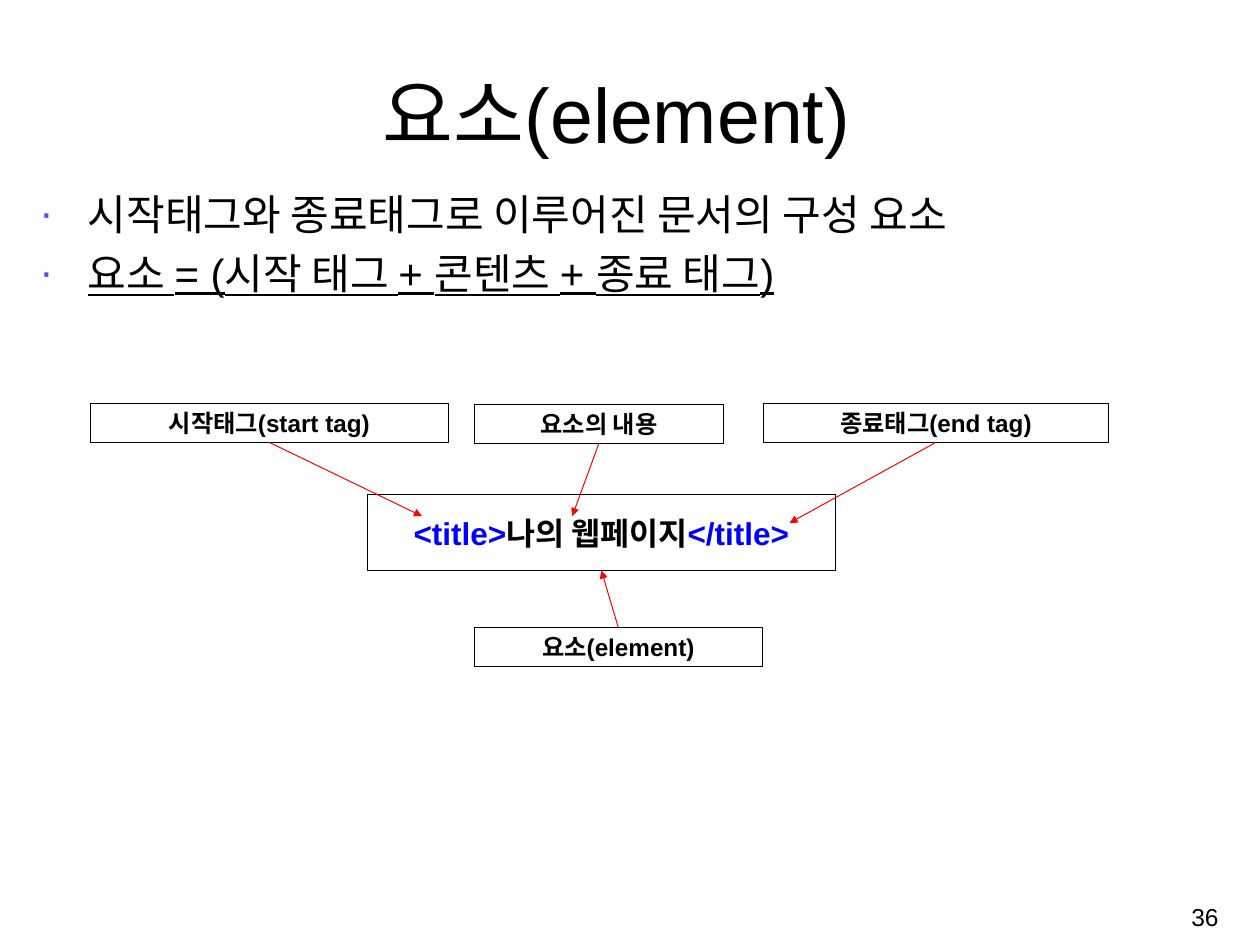
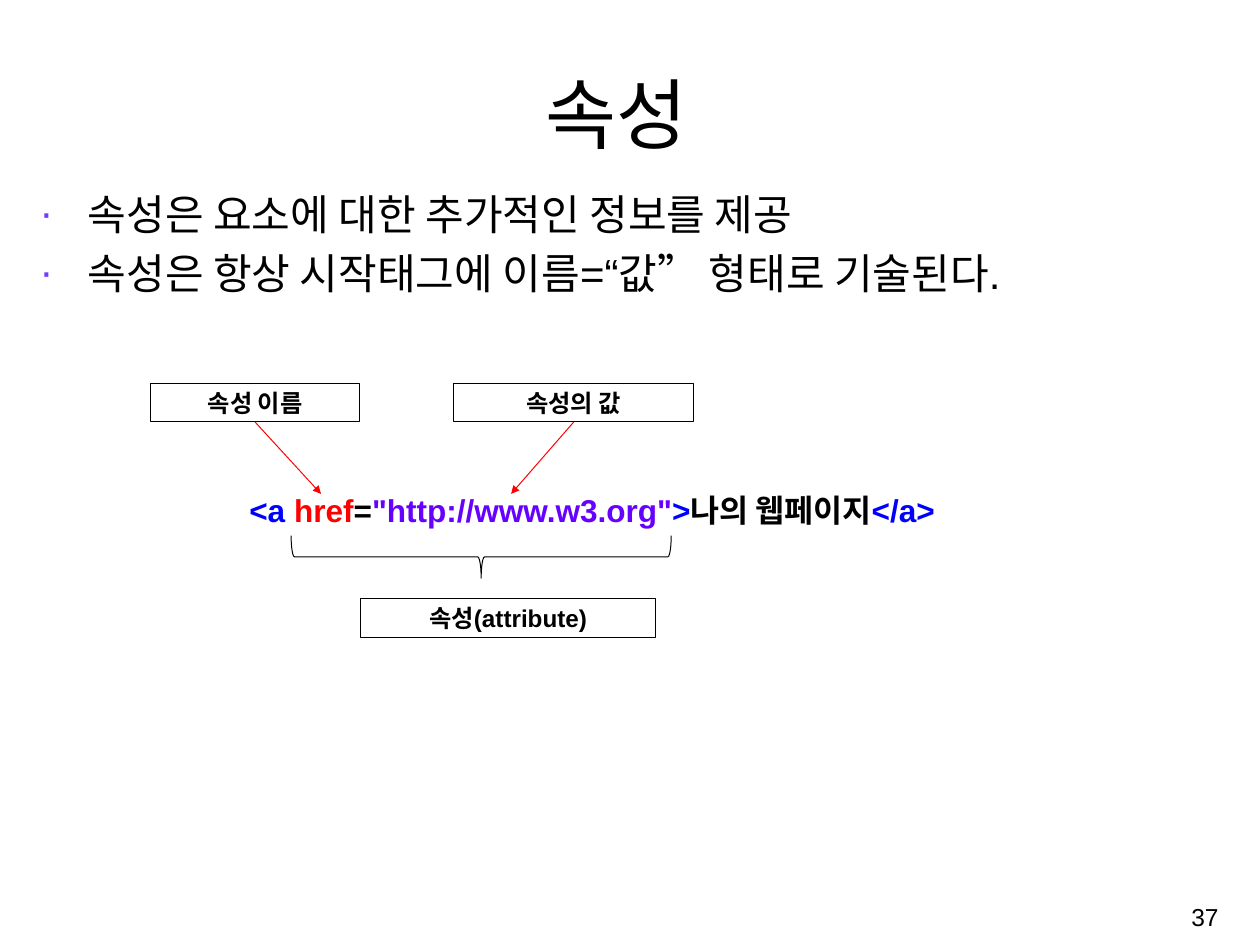
"""Build two slides on the parts and attributes of a markup element."""
import pptx
import pptx.util
import pptx.dml.color
import pptx.enum.text
import pptx.enum.shapes
import pptx.oxml.ns
import lxml.etree

Pt = pptx.util.Pt
ALIGN = pptx.enum.text.PP_ALIGN
ANCHOR = pptx.enum.text.MSO_ANCHOR
SHAPE = pptx.enum.shapes.MSO_SHAPE
FONT = "Arial"
BLACK, BLUE, RED = "000000", "0000FF", "FF0000"
PURPLE, BULLET = "6600FF", "703DFF"
TOP, FOOT = 0, 2


def tint(hue):
    return pptx.dml.color.RGBColor.from_string(hue)


def child(node, tag, **attrs):
    return lxml.etree.SubElement(node, pptx.oxml.ns.qn(tag), attrs)


def frame(shape, anchor, side=7.2, edge=3.6):
    text = shape.text_frame
    text.word_wrap = True
    text.vertical_anchor = anchor
    text.margin_left = text.margin_right = Pt(side)
    text.margin_top = text.margin_bottom = Pt(edge)
    return text


def write(para, runs, size, align, bold=False, under=False):
    para.alignment = align
    for words, hue in runs:
        run = para.add_run()
        run.text = words
        font = run.font
        font.name, font.size = FONT, Pt(size)
        font.bold, font.underline = bold, under
        font.color.rgb = tint(hue)


def plain(slide, place, runs, size, align, anchor, bold=False, **pad):
    box = slide.shapes.add_textbox(*map(Pt, place))
    write(frame(box, anchor, **pad).paragraphs[0], runs, size, align, bold)


def outline(slide, kind, place):
    shape = slide.shapes.add_shape(kind, *map(Pt, place))
    shape.shadow.inherit = False
    shape.fill.background()
    shape.line.color.rgb = tint(BLACK)
    shape.line.width = Pt(0.75)
    return shape


def label(slide, left, top, width, words):
    box = outline(slide, SHAPE.RECTANGLE, (left, top, width, 28.8))
    para = frame(box, ANCHOR.TOP).paragraphs[0]
    write(para, [(words, BLACK)], 18, ALIGN.CENTER, True)
    return box


def arrow(slide, box, site, x, y):
    kind = pptx.enum.shapes.MSO_CONNECTOR.STRAIGHT
    line = slide.shapes.add_connector(kind, 0, 0, Pt(x), Pt(y))
    line.begin_connect(box, site)
    line.line.color.rgb = tint(RED)
    line.line.width = Pt(0.75)
    child(line.line._get_or_add_ln(), "a:tailEnd", type="triangle")
    child(line._element.spPr, "a:effectLst")


def bullets(slide, items):
    box = slide.shapes.add_textbox(Pt(23), Pt(136.1), Pt(887), Pt(508.3))
    text = frame(box, ANCHOR.TOP)
    for index, (words, under) in enumerate(items):
        para = text.add_paragraph() if index else text.paragraphs[0]
        write(para, [(words, BLACK)], 31.2, ALIGN.LEFT, under=under)
        para.space_before = Pt(6.2 if index else 0)
        props = para._p.get_or_add_pPr()
        props.set("marL", str(Pt(35.1)))
        props.set("indent", str(-Pt(35.1)))
        child(child(props, "a:buClr"), "a:srgbClr", val=BULLET)
        child(props, "a:buFont", typeface=FONT)
        child(props, "a:buChar", char="∙")


def start(deck, title, items, number):
    slide = deck.slides.add_slide(deck.slide_layouts[6])
    plain(slide, (75.6, 43.9, 763.9, 77.8), [(title, BLACK)], 57.2,
          ALIGN.CENTER, ANCHOR.BOTTOM)
    bullets(slide, items)
    plain(slide, (718.6, 658.8, 193, 43.2), [(str(number), BLACK)], 18.2,
          ALIGN.RIGHT, ANCHOR.MIDDLE)
    return slide


def element(deck):
    slide = start(deck, "요소(element)", [
        ("시작태그와 종료태그로 이루어진 문서의 구성 요소", False),
        ("요소 = (시작 태그 + 콘텐츠 + 종료 태그)", True)], 36)
    code = outline(slide, SHAPE.RECTANGLE, (272.9, 367.2, 347, 56.2))
    runs = [("<title>", BLUE), ("나의 웹페이지", BLACK), ("</title>", BLUE)]
    para = frame(code, ANCHOR.MIDDLE, 9.4, 4.3).paragraphs[0]
    write(para, runs, 23.4, ALIGN.CENTER, True)
    for left, top, width, words, site, x, y in [
            (67, 299.5, 265.7, "시작태그(start tag)", FOOT, 313.2, 383),
            (352.1, 300.2, 185, "요소의 내용", FOOT, 424.8, 383),
            (566.6, 299.5, 256.3, "종료태그(end tag)", FOOT, 586.1, 388.1),
            (352.1, 465.8, 213.8, "요소(element)", TOP, 446.4, 423.4)]:
        arrow(slide, label(slide, left, top, width, words), site, x, y)


def attribute(deck):
    slide = start(deck, "속성", [
        ("속성은 요소에 대한 추가적인 정보를 제공", False),
        ("속성은 항상 시작태그에 이름=“값” 형태로 기술된다.", False)], 37)
    runs = [("<a ", BLUE), ("href", RED), ("=", BLACK),
            ('"http://www.w3.org"', PURPLE), (">", BLUE),
            ("나의 웹페이지", BLACK), ("</a>", BLUE)]
    plain(slide, (175.7, 349.9, 551.5, 56.2), runs, 23.4,
          ALIGN.LEFT, ANCHOR.MIDDLE, True, side=9.4, edge=4.3)
    for left, width, words, x in [(111.6, 155.5, "속성 이름", 238.3),
                                  (337, 177.8, "속성의 값", 379.4)]:
        arrow(slide, label(slide, left, 284.4, width, words), FOOT, x, 366.5)
    label(slide, 267.8, 444.2, 218.9, "속성(attribute)")
    brace = outline(slide, SHAPE.RIGHT_BRACE, (341.3, 272.2, 31.7, 282.2))
    brace.rotation = 90
    brace.adjustments[0] = 0.08
    brace.adjustments[1] = 0.5


def main():
    deck = pptx.Presentation()
    deck.slide_width, deck.slide_height = Pt(935.3), Pt(701.3)
    element(deck)
    attribute(deck)
    deck.save("out.pptx")


if __name__ == "__main__":
    main()
